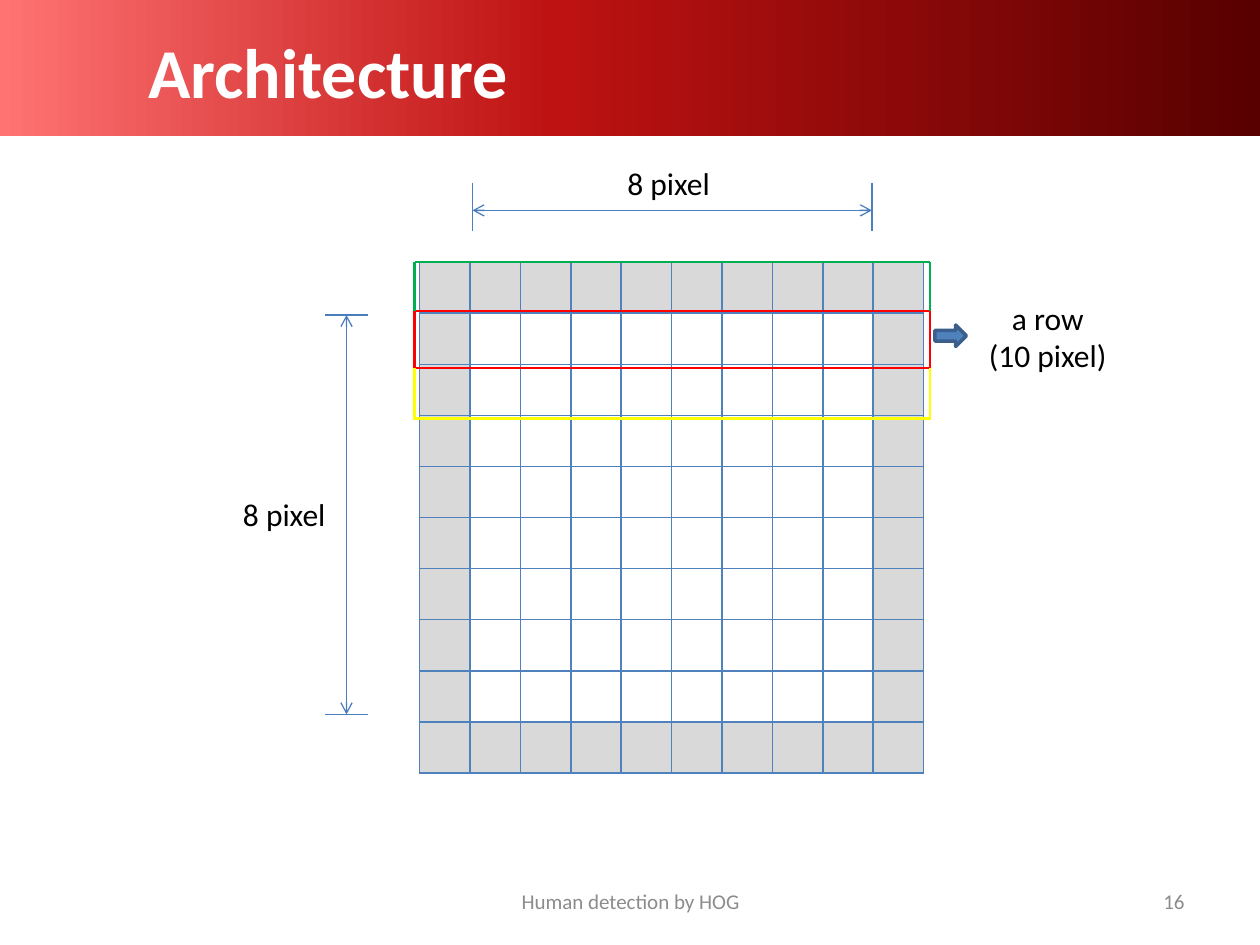
from lxml import etree
from pptx import Presentation
from pptx.dml.color import RGBColor
from pptx.enum.shapes import MSO_CONNECTOR as Connector, MSO_SHAPE as Shape
from pptx.enum.text import MSO_ANCHOR as Anchor, MSO_AUTO_SIZE as AutoSize, PP_ALIGN as Align
from pptx.oxml import parse_xml
from pptx.oxml.ns import nsdecls, qn
from pptx.util import Inches, Pt

WHITE = RGBColor(0xFF, 0xFF, 0xFF)
BLACK = RGBColor(0, 0, 0)
FOOTER_GRAY = RGBColor(0x8C, 0x8C, 0x8C)
BORDER_GRAY = RGBColor(0xD9, 0xD9, 0xD9)
BLUE = RGBColor(0x4F, 0x81, 0xBD)
LINE_BLUE = RGBColor(0x4B, 0x7E, 0xBC)
DARK_BLUE = RGBColor(0x3A, 0x5F, 0x8C)
RED = RGBColor(0xFF, 0, 0)
GREEN = RGBColor(0, 0xB0, 0x50)
YELLOW = RGBColor(0xFF, 0xFF, 0)
BANNER_STOPS = [
    (0, RGBColor(0xFF, 0x73, 0x73)),
    (44, RGBColor(0xBE, 0x12, 0x12)),
    (100, RGBColor(0x58, 0, 0)),
]
FONT = "Calibri"
GRID_SIZE = 10


def add_banner(slide):
    banner = slide.shapes.add_shape(Shape.RECTANGLE, 0, 0, Inches(10), Inches(1.08))
    banner.shadow.inherit = False
    banner.line.fill.background()
    banner.fill.gradient()
    banner.fill.gradient_angle = 0
    stop_list = banner.fill._fill._gradFill.find(qn("a:gsLst"))
    for stop in list(stop_list):
        stop_list.remove(stop)
    for percent, color in BANNER_STOPS:
        stop_list.append(parse_xml(
            f'<a:gs {nsdecls("a")} pos="{percent * 1000}"><a:srgbClr val="{color}"/></a:gs>'))


def add_text(slide, box, lines, size=18, color=BLACK, align=Align.LEFT,
             bold=False, anchor=Anchor.TOP, grow=False):
    shape = slide.shapes.add_textbox(*map(Inches, box))
    frame = shape.text_frame
    frame.word_wrap = True
    frame.vertical_anchor = anchor
    frame.auto_size = AutoSize.SHAPE_TO_FIT_TEXT if grow else AutoSize.NONE
    for index, line in enumerate(lines):
        paragraph = frame.add_paragraph() if index else frame.paragraphs[0]
        paragraph.alignment = align
        run = paragraph.add_run()
        run.text = line
        run.font.name = FONT
        run.font.size = Pt(size)
        run.font.bold = bold
        run.font.color.rgb = color


def add_line(slide, start, end, color=LINE_BLUE, width=0.75, arrows=False):
    line = slide.shapes.add_connector(Connector.STRAIGHT, *map(Inches, (*start, *end)))
    line.line.color.rgb = color
    line.line.width = Pt(width)
    if arrows:
        outline = line.line._get_or_add_ln()
        for tag in ("a:headEnd", "a:tailEnd"):
            etree.SubElement(outline, qn(tag), type="arrow")
    etree.SubElement(line._element.spPr, qn("a:effectLst"))


def add_pixel_grid(slide):
    frame = slide.shapes.add_table(GRID_SIZE, GRID_SIZE, Inches(3.33), Inches(2.08),
                                   Inches(4), Inches(4))
    table = frame.table
    for row in table.rows:
        row.height = Inches(0.39)
    frame.height = Inches(4)
    edge = (0, GRID_SIZE - 1)
    for row in range(GRID_SIZE):
        for column in range(GRID_SIZE):
            cell = table.cell(row, column)
            properties = cell._tc.get_or_add_tcPr()
            for side in "LRTB":
                properties.append(parse_xml(
                    f'<a:ln{side} {nsdecls("a")} w="12700"><a:solidFill>'
                    f'<a:srgbClr val="{BLUE}"/></a:solidFill></a:ln{side}>'))
            cell.fill.solid()
            cell.fill.fore_color.rgb = BORDER_GRAY if row in edge or column in edge else WHITE


def add_dimensions(slide):
    # Arrows across the inner 8 x 8 pixels
    add_line(slide, (2.75, 2.5), (2.75, 5.67), arrows=True)
    add_line(slide, (6.92, 1.67), (3.75, 1.67), arrows=True)
    for left, top in ((1.83, 3.88), (4.88, 1.25)):
        add_text(slide, (left, top, 0.92, 0.4), ["8 pixel"], grow=True)
    # End marks
    for y in (2.5, 5.67):
        add_line(slide, (2.58, y), (2.92, y))
    for x in (3.75, 6.92):
        add_line(slide, (x, 1.45), (x, 1.83))


def add_row_outline(slide, top, bottom, color, horizontals):
    left, right = 3.29, 7.38
    for y in horizontals:
        add_line(slide, (left, y), (right, y), color, 1.5)
    for x in (left, right):
        add_line(slide, (x, top), (x, bottom), color, 1.5)


def add_row_label(slide):
    arrow = slide.shapes.add_shape(Shape.RIGHT_ARROW, Inches(7.42), Inches(2.58),
                                   Inches(0.25), Inches(0.17))
    arrow.shadow.inherit = False
    arrow.fill.solid()
    arrow.fill.fore_color.rgb = BLUE
    arrow.line.color.rgb = DARK_BLUE
    arrow.line.width = Pt(2)
    add_text(slide, (7.69, 2.32, 1.25, 0.71), ["a row", "(10 pixel)"],
             align=Align.CENTER, grow=True)


def main():
    presentation = Presentation()
    presentation.slide_width = Inches(10)
    presentation.slide_height = Inches(7.5)
    slide = presentation.slides.add_slide(presentation.slide_layouts[6])

    # Banner, title and footer
    add_banner(slide)
    add_text(slide, (1.08, 0.17, 8.42, 0.78), ["Architecture"], 40, WHITE,
             bold=True, anchor=Anchor.MIDDLE)
    add_text(slide, (3.42, 6.95, 3.17, 0.4), ["Human detection by HOG"], 12, FOOTER_GRAY,
             Align.CENTER, anchor=Anchor.MIDDLE)
    add_text(slide, (7.17, 6.95, 2.33, 0.4), ["16"], 12, FOOTER_GRAY,
             Align.RIGHT, anchor=Anchor.MIDDLE)

    # Pixel grid with its measures
    add_pixel_grid(slide)
    add_dimensions(slide)
    add_row_label(slide)

    # Outlines of the first three rows
    add_row_outline(slide, 2.47, 2.92, RED, (2.47, 2.92))
    add_row_outline(slide, 2.08, 2.47, GREEN, (2.08,))
    add_row_outline(slide, 2.92, 3.33, YELLOW, (3.32,))

    presentation.save("out.pptx")


if __name__ == "__main__":
    main()
